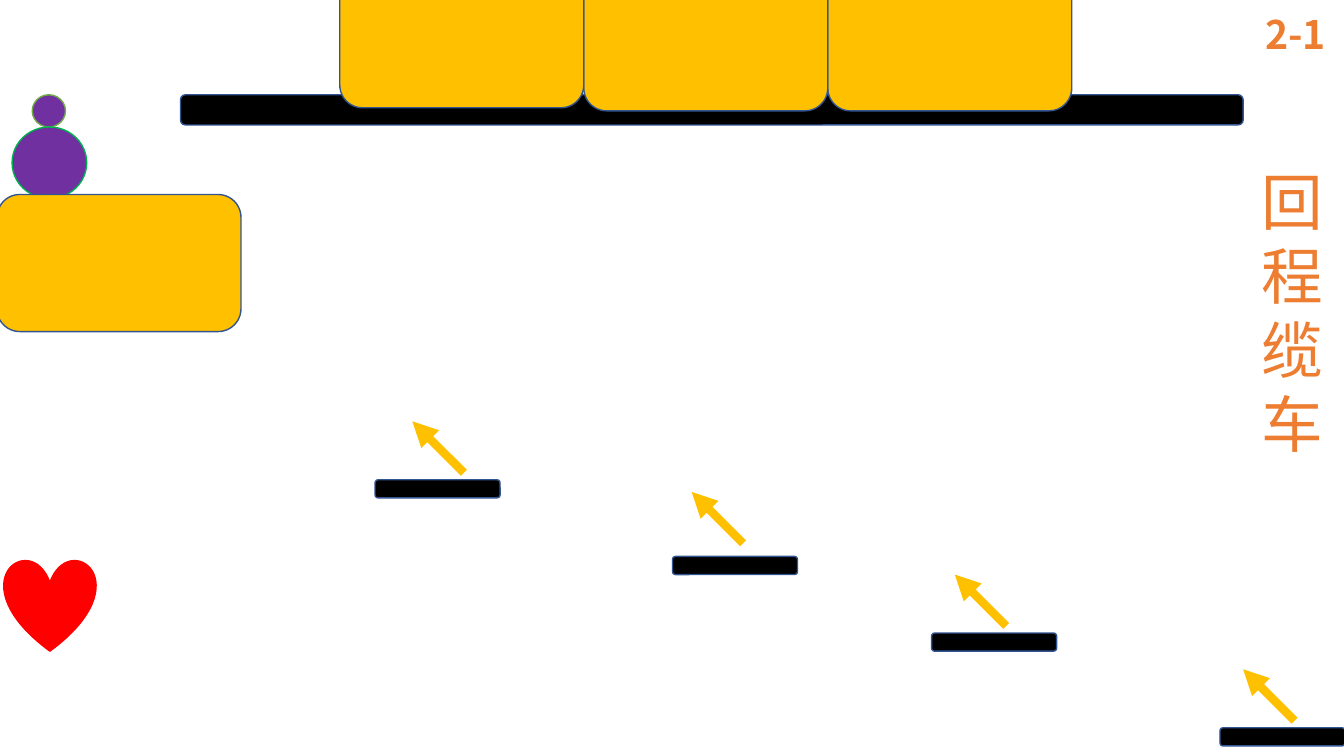
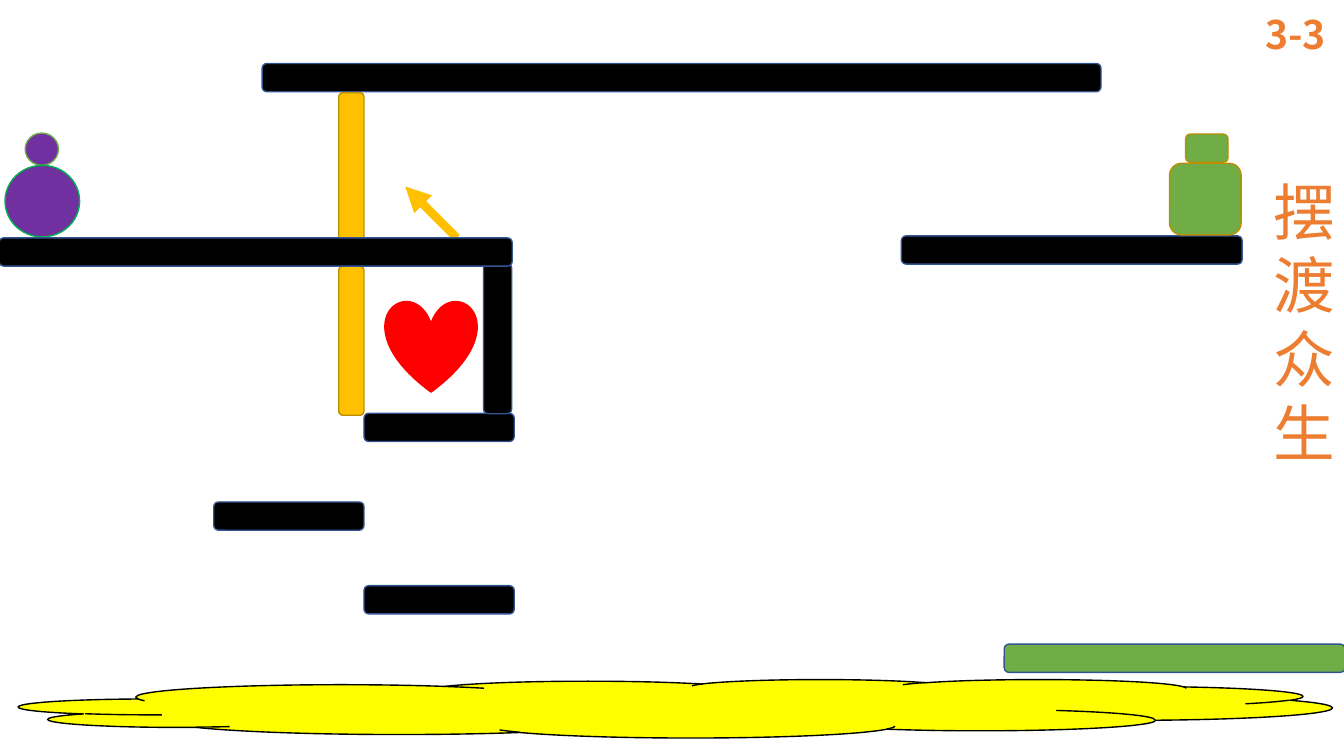
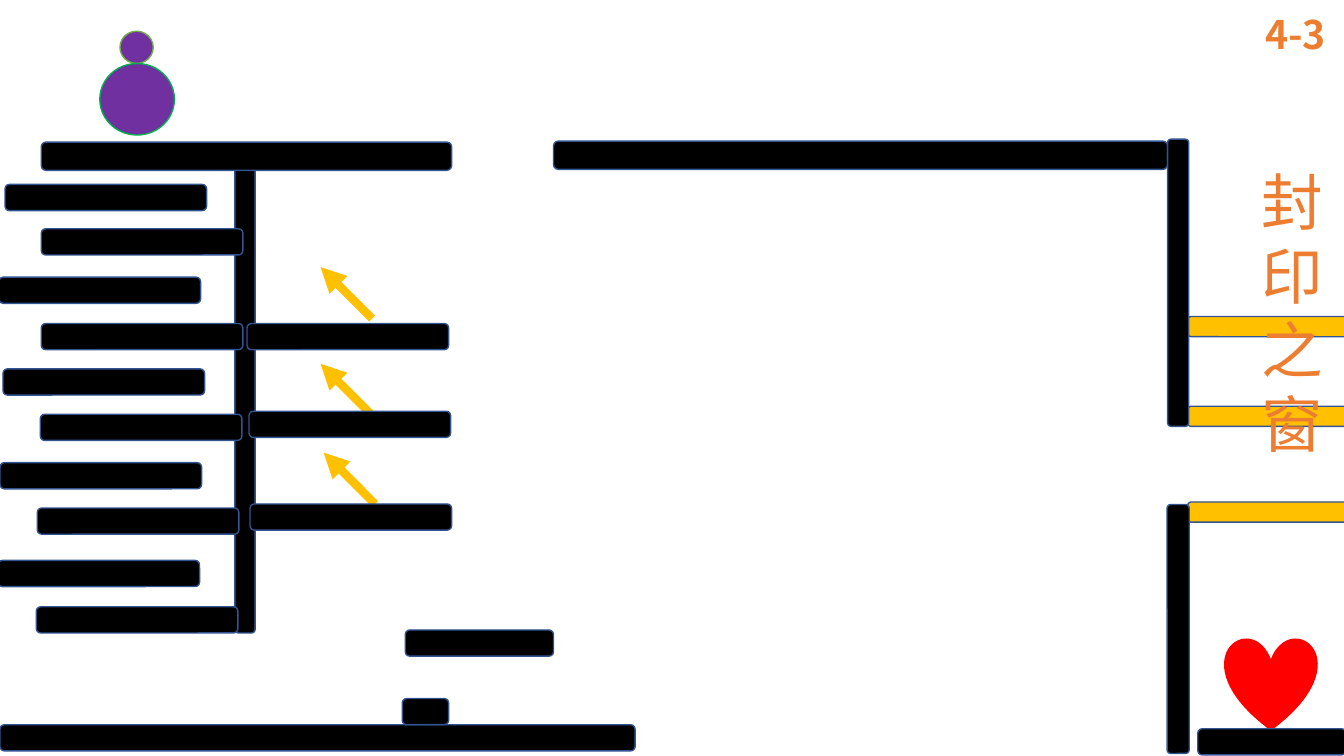
from lxml.etree import SubElement
from pptx import Presentation
from pptx.dml.color import RGBColor
from pptx.enum.shapes import MSO_CONNECTOR as Connector, MSO_SHAPE as Shape
from pptx.enum.text import MSO_ANCHOR as Anchor, MSO_AUTO_SIZE as AutoSize, PP_ALIGN as Align
from pptx.oxml.ns import qn
from pptx.util import Inches, Pt

BLACK, GOLD, GREEN = "000000", "FFC000", "70AD47"
PURPLE, RED, YELLOW, ORANGE = "7030A0", "FF0000", "FFFF00", "ED7D31"
NAVY, BRONZE, EMERALD = "325491", "BD8E00", "00B050"
FONT = "Noto Sans CJK JP"


def rgb(value):
    """Turn a hex string into a colour."""
    return RGBColor.from_string(value)


def write(frame, text, size=28, color=ORANGE, bold=False, font=FONT):
    """Fill a text frame with one formatted paragraph."""
    frame.word_wrap = True
    frame.auto_size = AutoSize.SHAPE_TO_FIT_TEXT
    frame.vertical_anchor = Anchor.TOP
    frame.margin_left = frame.margin_right = frame.margin_top = Inches(0.1)
    frame.margin_bottom = Inches(0.05)
    paragraph = frame.paragraphs[0]
    paragraph.alignment = Align.LEFT
    paragraph.line_spacing = Pt(size * 1.2)
    paragraph.space_before = Pt(0)
    run = paragraph.add_run()
    run.text = text
    run.font.name, run.font.size, run.font.bold = font, Pt(size), bold
    run.font.color.rgb = rgb(color)
    SubElement(run.font._element, qn("a:ea"), typeface=font)


class LevelDeck:
    """Draws game levels on slides that share one style."""

    def __init__(self):
        """Start an empty widescreen deck."""
        self.deck = Presentation()
        self.deck.slide_width, self.deck.slide_height = Inches(13.33), Inches(7.5)
        self.slide = None

    def start_level(self):
        """Add a slide for the next level."""
        self.slide = self.deck.slides.add_slide(self.deck.slide_layouts[5])

    def block(self, x, y, width, height, fill=BLACK, line=NAVY, kind=Shape.ROUNDED_RECTANGLE, turn=0):
        """Draw a filled, outlined preset shape."""
        block = self.slide.shapes.add_shape(kind, Inches(x), Inches(y), Inches(width), Inches(height))
        block.shadow.inherit = False
        block.fill.solid()
        block.fill.fore_color.rgb = rgb(fill)
        block.line.color.rgb = rgb(line)
        block.line.width = Pt(1)
        block.rotation = turn

    def blocks(self, corners, width, height, **style):
        """Draw equal blocks at the given corners."""
        for x, y in corners:
            self.block(x, y, width, height, **style)

    def player(self, x, y):
        """Draw the round player."""
        self.block(x + 0.2, y, 0.33, 0.32, PURPLE, GREEN, Shape.OVAL)
        self.block(x, y + 0.32, 0.74, 0.71, PURPLE, EMERALD, Shape.OVAL)

    def heart(self, x, y):
        """Draw the heart to collect."""
        self.block(x, y, 0.91, 0.91, RED, RED, Shape.HEART)

    def arrows(self, *starts, reach=0.51):
        """Draw arrows pointing up and left from each start."""
        for x, y in starts:
            arrow = self.slide.shapes.add_connector(
                Connector.STRAIGHT, Inches(x), Inches(y), Inches(x - reach), Inches(y - reach))
            arrow.line.color.rgb = rgb(GOLD)
            arrow.line.width = Pt(6)
            SubElement(arrow.line._get_or_add_ln(), qn("a:tailEnd"), type="triangle")
            SubElement(arrow._element.spPr, qn("a:effectLst"))

    def label(self, number, name, x=12.41, y=1.53, width=1.29, height=3.06):
        """Put the level number and its name above the drawing."""
        title = self.slide.shapes.title
        title.left, title.top, title.width, title.height = map(Inches, (x, y, width, height))
        write(title.text_frame, name, size=44)
        self.slide.shapes._spTree.append(title._element)
        corner = self.slide.shapes.add_textbox(Inches(12.45), Inches(0), Inches(1.76), Inches(0.57))
        write(corner.text_frame, number, bold=True)


def cable_car(level):
    """Draw level 2-1."""
    level.start_level()
    level.player(0.12, 0.94)
    level.heart(0.04, 5.55)
    level.block(1.79, 0.94, 10.54, 0.3)
    cabins = [(8.21, -0.26), (5.79, -0.26), (3.37, -0.29), (-0.03, 1.93)]
    level.blocks(cabins, 2.42, 1.36, fill=GOLD)
    level.blocks([(3.72, 4.76), (6.67, 5.52), (9.24, 6.28), (12.1, 7.22)], 1.24, 0.18)
    level.arrows((4.6, 4.69), (7.37, 5.39), (9.98, 6.21), (12.84, 7.15))
    level.label("2-1", "回程缆车")


def ferry(level):
    """Draw level 3-3."""
    level.start_level()
    level.heart(3.82, 2.98)
    level.block(2.6, 0.63, 8.32, 0.28)
    level.block(0.19, 6.74, 13.02, 0.58, YELLOW, BLACK, Shape.CLOUD)
    level.blocks([(3.61, 4.1), (2.12, 4.98), (3.61, 5.81)], 1.49, 0.28, turn=180)
    level.block(4.19, 3.22, 1.49, 0.28, turn=90)
    level.arrows((4.53, 2.36))
    level.blocks([(3.36, 0.92), (3.36, 2.64)], 0.25, 1.48, fill=GOLD, line=BRONZE)
    level.player(0.05, 1.32)
    level.block(-0.01, 2.36, 5.09, 0.28)
    level.block(8.94, 2.34, 3.38, 0.28)
    level.block(9.96, 6.39, 3.38, 0.28, GREEN)
    level.block(11.76, 1.33, 0.42, 0.28, GREEN, BRONZE)
    level.block(11.6, 1.62, 0.71, 0.71, GREEN, BRONZE)
    level.label("3-3", "摆渡众生", x=12.53, y=1.62, width=0.71, height=1.99)


def sealed_window(level):
    """Draw level 4-3."""
    level.start_level()
    level.player(0.99, 0.31)
    level.heart(12.15, 6.33)
    level.arrows((3.69, 3.16), (3.69, 4.12), (3.72, 5))
    level.block(0, 3.75, 4.86, 0.2, turn=90)
    level.block(5.49, 1.4, 6.09, 0.28)
    level.block(0.41, 1.41, 4.07, 0.28)
    outer_steps = [(0.05, 1.83), (-0.01, 2.75), (0.03, 3.66), (0, 4.59), (-0.02, 5.56)]
    inner_steps = [(0.41, 2.27), (0.41, 3.21), (0.4, 4.11), (0.37, 5.04), (0.36, 6.02)]
    right_steps = [(2.45, 3.21), (2.47, 4.08), (2.48, 5)]
    level.blocks(outer_steps + inner_steps + right_steps, 2, 0.26)
    level.blocks([(11.78, y) for y in (3.14, 4.03, 4.98)], 1.64, 0.2, fill=GOLD, turn=180)
    level.block(10.26, 2.7, 2.85, 0.21, turn=90)
    level.block(10.45, 6.13, 2.47, 0.22, turn=90)
    level.block(0, 7.19, 6.3, 0.26)
    level.blocks([(4.02, 6.25), (11.88, 7.23)], 1.47, 0.26)
    level.block(3.99, 6.93, 0.46, 0.26)
    level.label("4-3", "封印之窗")


def main():
    """Build and save the levels."""
    level = LevelDeck()
    for draw in (cable_car, ferry, sealed_window):
        draw(level)
    level.deck.save("out.pptx")


if __name__ == "__main__":
    main()
